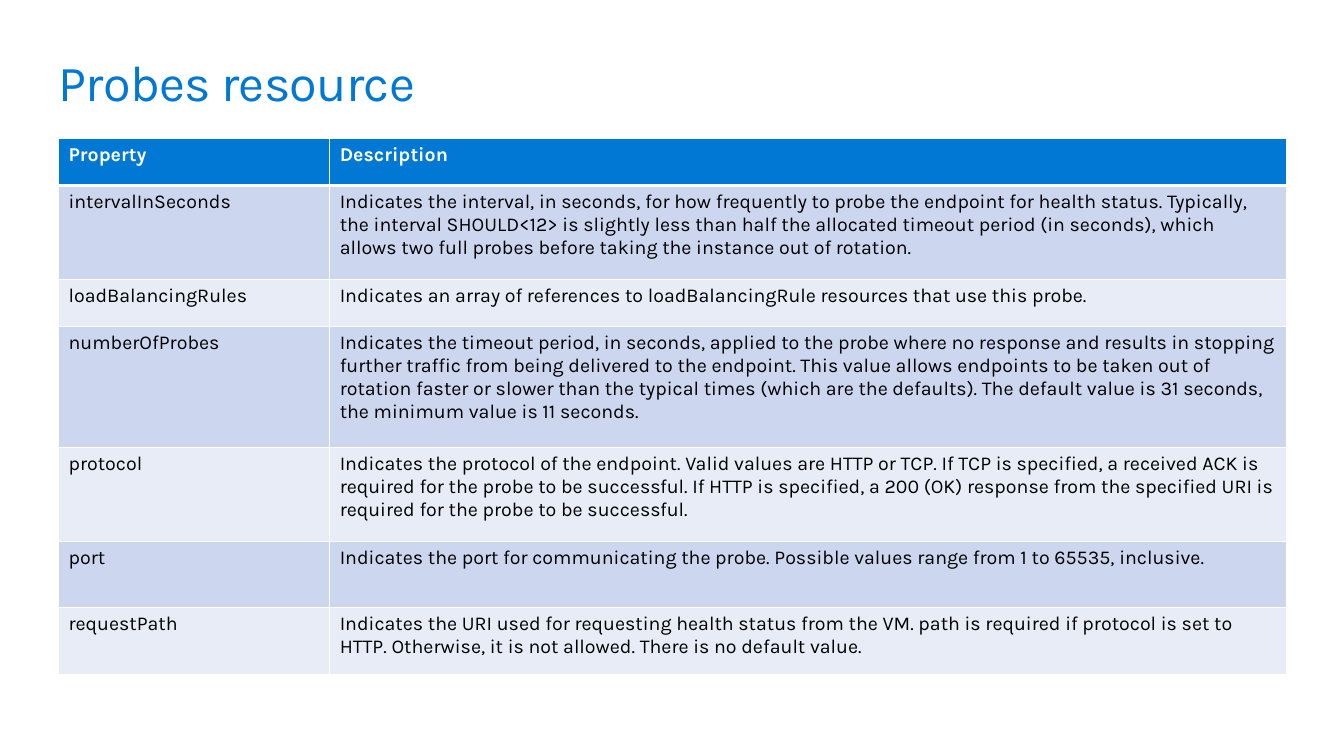
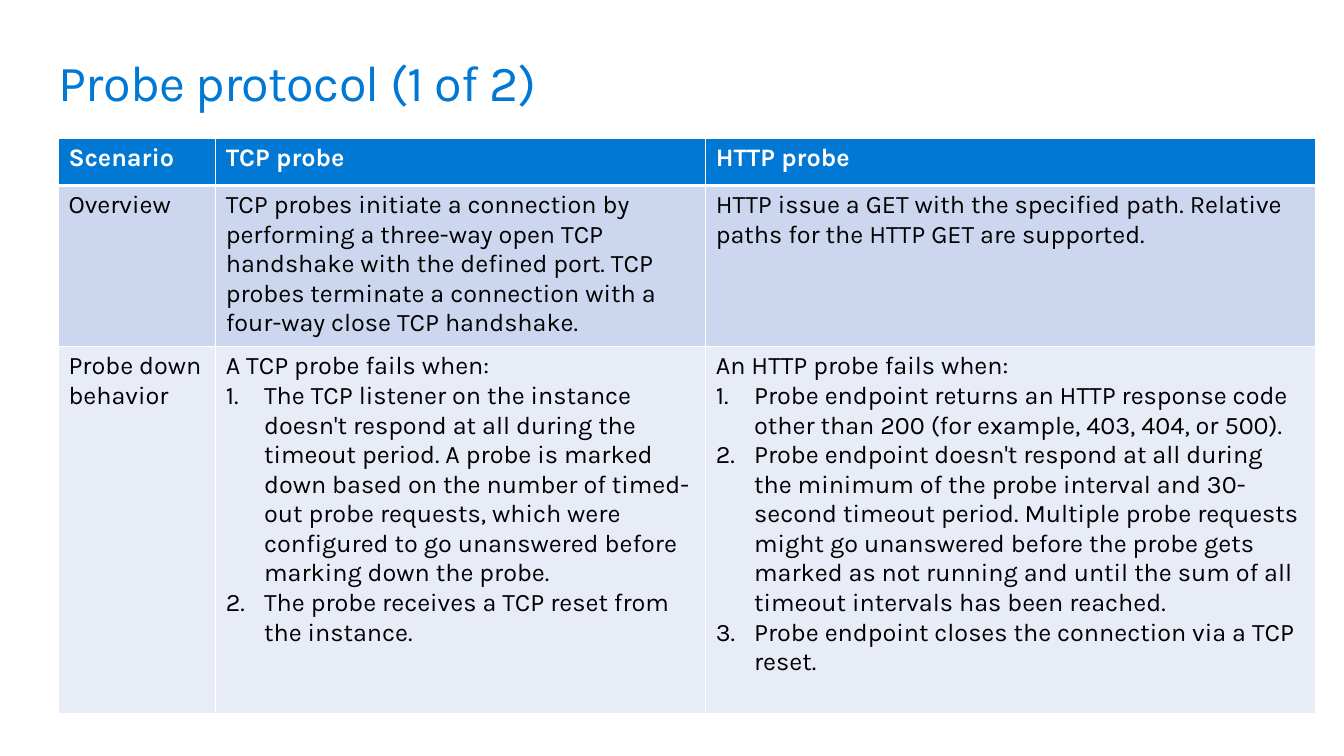
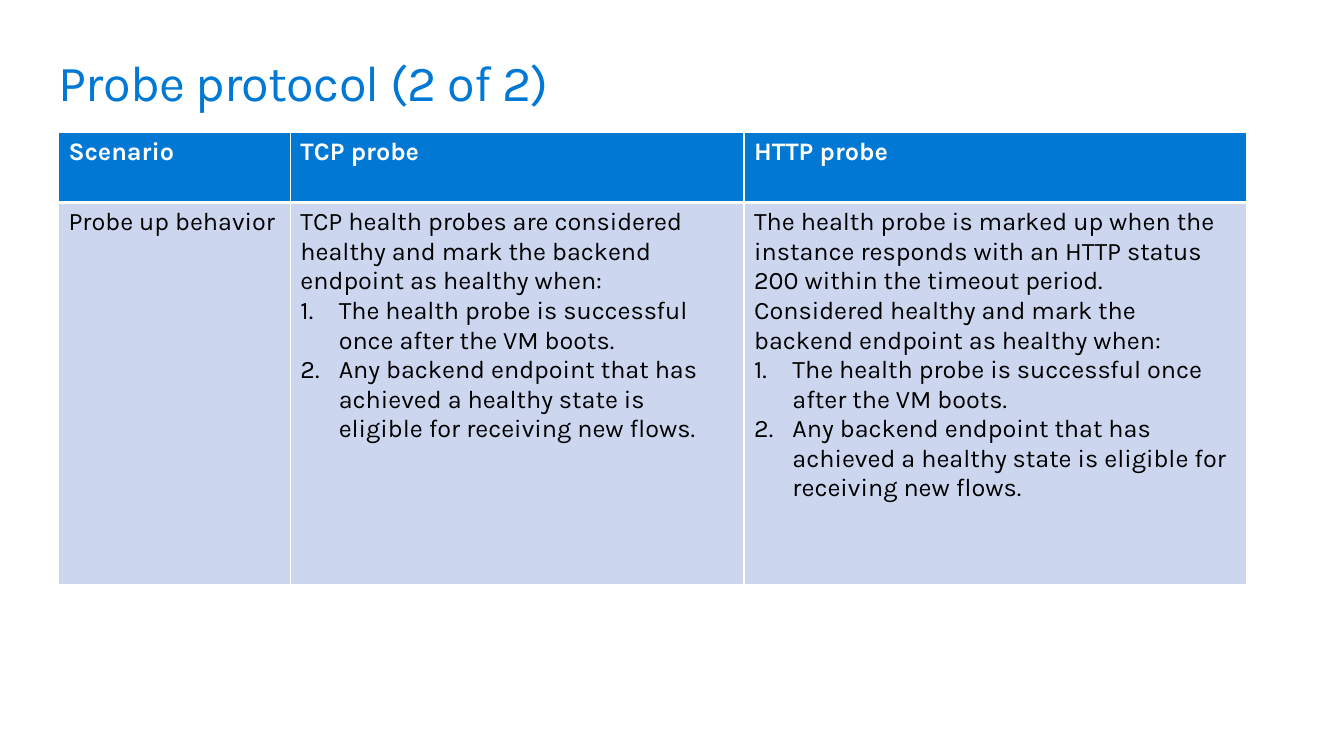
import pptx
import pptx.dml.color
import pptx.enum.text
import pptx.oxml
import pptx.oxml.ns
import pptx.util

Inches = pptx.util.Inches
Pt = pptx.util.Pt
NS = pptx.oxml.ns.nsdecls("a")
COLORS = {"blue": "0078D4", "white": "FFFFFF", "black": "000000", "odd": "CCD6EF", "even": "E7ECF7"}
LEFT = 0.58
INDENT = 0.38


class Deck:
    """Shared style and the current slide of the presentation."""

    def __init__(self):
        self.prs = pptx.Presentation()
        self.prs.slide_width, self.prs.slide_height = Inches(13.33), Inches(7.5)

    def color(self, name):
        return pptx.dml.color.RGBColor.from_string(COLORS[name])

    def slide(self, title, width):
        self.s = self.prs.slides.add_slide(self.prs.slide_layouts[6])
        sp = self.s.shapes.add_textbox(Inches(LEFT), Inches(0.5), Inches(width), Inches(0.61))
        tf = sp.text_frame
        form = {"margin_left": 0, "margin_top": 0, "margin_right": 0, "margin_bottom": 0, "word_wrap": True,
                "auto_size": pptx.enum.text.MSO_AUTO_SIZE.SHAPE_TO_FIT_TEXT,
                "vertical_anchor": pptx.enum.text.MSO_ANCHOR.MIDDLE}
        for key, value in form.items():
            setattr(tf, key, value)
        r = self.run(tf.paragraphs[0], title, 36, "blue")
        r.font._element.set("spc", "-50")

    def run(self, p, text, size, color, bold=False):
        r = p.add_run()
        r.text = text
        for key, value in {"name": "Karla", "size": Pt(size), "bold": bold}.items():
            setattr(r.font, key, value)
        r.font.color.rgb = self.color(color)
        return r

    def number(self, p):
        pPr = p._p.get_or_add_pPr()
        pPr.set("marL", str(Inches(INDENT)))
        pPr.set("indent", str(-Inches(INDENT)))
        pPr.append(pptx.oxml.parse_xml(f'<a:buFont {NS} typeface="+mj-lt"/>'))
        pPr.append(pptx.oxml.parse_xml(f'<a:buAutoNum {NS} type="arabicPeriod"/>'))

    def borders(self, cell, top, bottom):
        tcPr = cell._tc.get_or_add_tcPr()
        for side, width in {"L": 1, "R": 1, "T": top, "B": bottom}.items():
            tcPr.append(pptx.oxml.parse_xml(
                f'<a:ln{side} {NS} w="{Pt(width)}"><a:solidFill>'
                f'<a:srgbClr val="{COLORS["white"]}"/></a:solidFill></a:ln{side}>'))

    def cell(self, cell, content, row, size):
        header = row == 0
        self.borders(cell, 3 if row == 1 else 1, 3 if header else 1)
        cell.fill.solid()
        cell.fill.fore_color.rgb = self.color("blue" if header else "odd" if row % 2 else "even")
        intro, *steps = [content] if isinstance(content, str) else content
        tf = cell.text_frame
        color = "white" if header else "black"
        self.run(tf.paragraphs[0], intro, size, color, header)
        for step in steps:
            p = tf.add_paragraph()
            self.number(p)
            self.run(p, step, size, color)

    def table(self, top, widths, heights, rows, size):
        frame = self.s.shapes.add_table(len(rows), len(widths), Inches(LEFT), Inches(top),
                                        Inches(sum(widths)), Inches(sum(heights)))
        table = frame.table
        for column, width in zip(table.columns, widths):
            column.width = Inches(width)
        for i, (height, row) in enumerate(zip(heights, rows)):
            table.rows[i].height = Inches(height)
            for j, content in enumerate(row):
                self.cell(table.cell(i, j), content, i, size)


PROBE_HEADER = ("Scenario", "TCP probe", "HTTP probe")
UP_STEPS = (
    "The health probe is successful once after the VM boots.",
    "Any backend endpoint that has achieved a healthy state is eligible for receiving new flows.",
)


def main():
    deck = Deck()

    deck.slide("Probes resource", 4.41)
    deck.table(1.37, [2.69, 9.49], [0.47, 0.93, 0.47, 1.2, 0.93, 0.66, 0.66], [
        ("Property", "Description"),
        ("intervalInSeconds",
         "Indicates the interval, in seconds, for how frequently to probe the endpoint for health status. "
         "Typically, the interval SHOULD<12> is slightly less than half the allocated timeout period "
         "(in seconds), which allows two full probes before taking the instance out of rotation."),
        ("loadBalancingRules",
         "Indicates an array of references to loadBalancingRule resources that use this probe."),
        ("numberOfProbes",
         "Indicates the timeout period, in seconds, applied to the probe where no response and results in "
         "stopping further traffic from being delivered to the endpoint. This value allows endpoints to be "
         "taken out of rotation faster or slower than the typical times (which are the defaults). "
         "The default value is 31 seconds, the minimum value is 11 seconds."),
        ("protocol",
         "Indicates the protocol of the endpoint. Valid values are HTTP or TCP. If TCP is specified, "
         "a received ACK is required for the probe to be successful. If HTTP is specified, a 200 (OK) "
         "response from the specified URI is required for the probe to be successful."),
        ("port",
         "Indicates the port for communicating the probe. Possible values range from 1 to 65535, inclusive."),
        ("requestPath",
         "Indicates the URI used for requesting health status from the VM. path is required if protocol "
         "is set to HTTP. Otherwise, it is not allowed. There is no default value."),
    ], 14)

    deck.slide("Probe protocol (1 of 2)", 8.31)
    deck.table(1.37, [1.56, 4.86, 6.05], [0.47, 1.57, 3.64], [
        PROBE_HEADER,
        ("Overview",
         "TCP probes initiate a connection by performing a three-way open TCP handshake with the defined "
         "port. TCP probes terminate a connection with a four-way close TCP handshake.",
         "HTTP issue a GET with the specified path. Relative paths for the HTTP GET are supported."),
        ("Probe down behavior",
         ("A TCP probe fails when:",
          "The TCP listener on the instance doesn't respond at all during the timeout period. A probe is "
          "marked down based on the number of timed-out probe requests, which were configured to go "
          "unanswered before marking down the probe.",
          "The probe receives a TCP reset from the instance."),
         ("An HTTP probe fails when:",
          "Probe endpoint returns an HTTP response code other than 200 (for example, 403, 404, or 500).",
          "Probe endpoint doesn't respond at all during the minimum of the probe interval and 30-second "
          "timeout period. Multiple probe requests might go unanswered before the probe gets marked as "
          "not running and until the sum of all timeout intervals has been reached.",
          "Probe endpoint closes the connection via a TCP reset.")),
    ], 18)

    deck.slide("Probe protocol (2 of 2)", 6.08)
    deck.table(1.31, [2.3, 4.5, 4.98], [0.7, 3.79], [
        PROBE_HEADER,
        ("Probe up behavior",
         ("TCP health probes are considered healthy and mark the backend endpoint as healthy when:",
          *UP_STEPS),
         ("The health probe is marked up when the instance responds with an HTTP status 200 within the "
          "timeout period. Considered healthy and mark the backend endpoint as healthy when:",
          *UP_STEPS)),
    ], 18)

    deck.prs.save("out.pptx")


if __name__ == "__main__":
    main()
